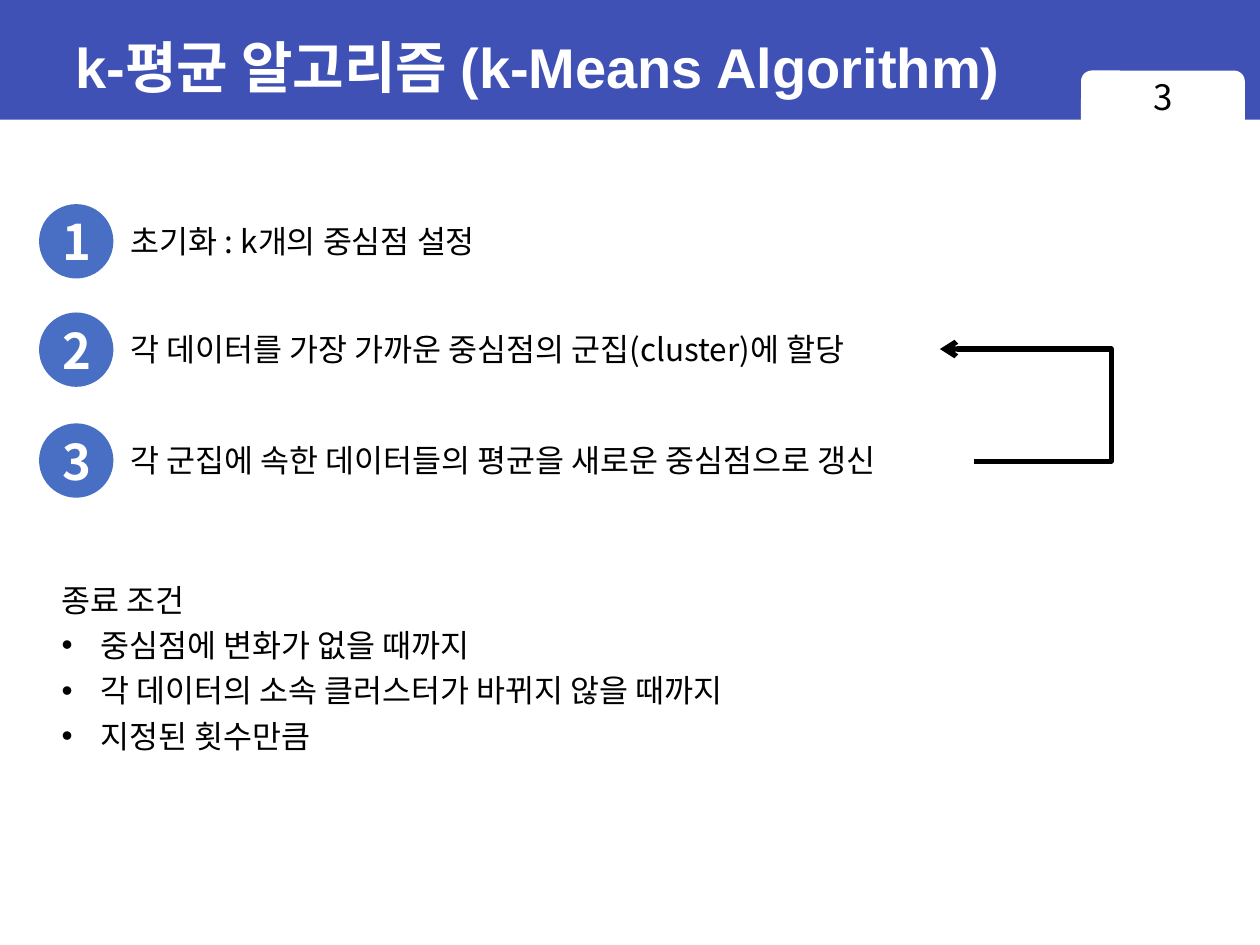
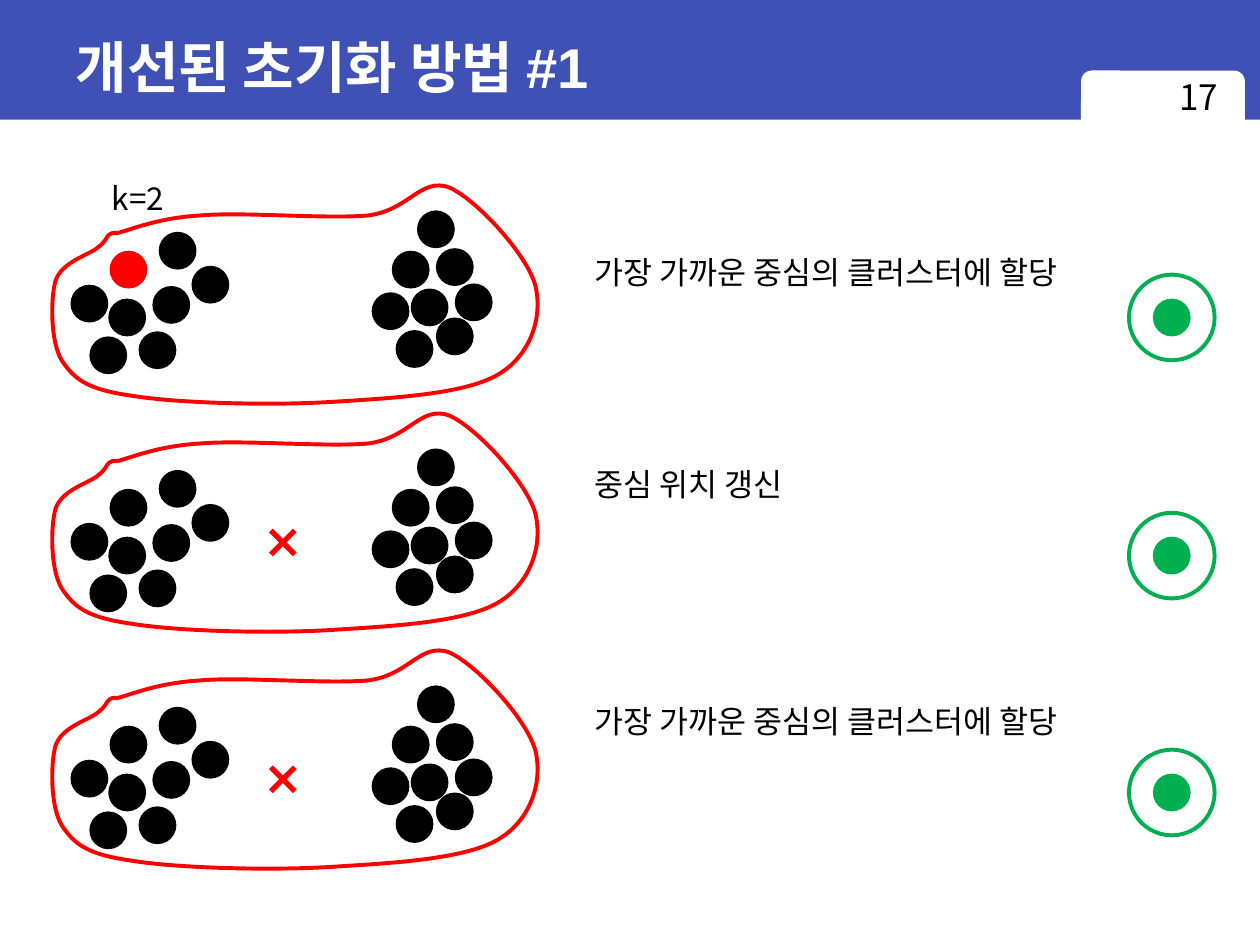
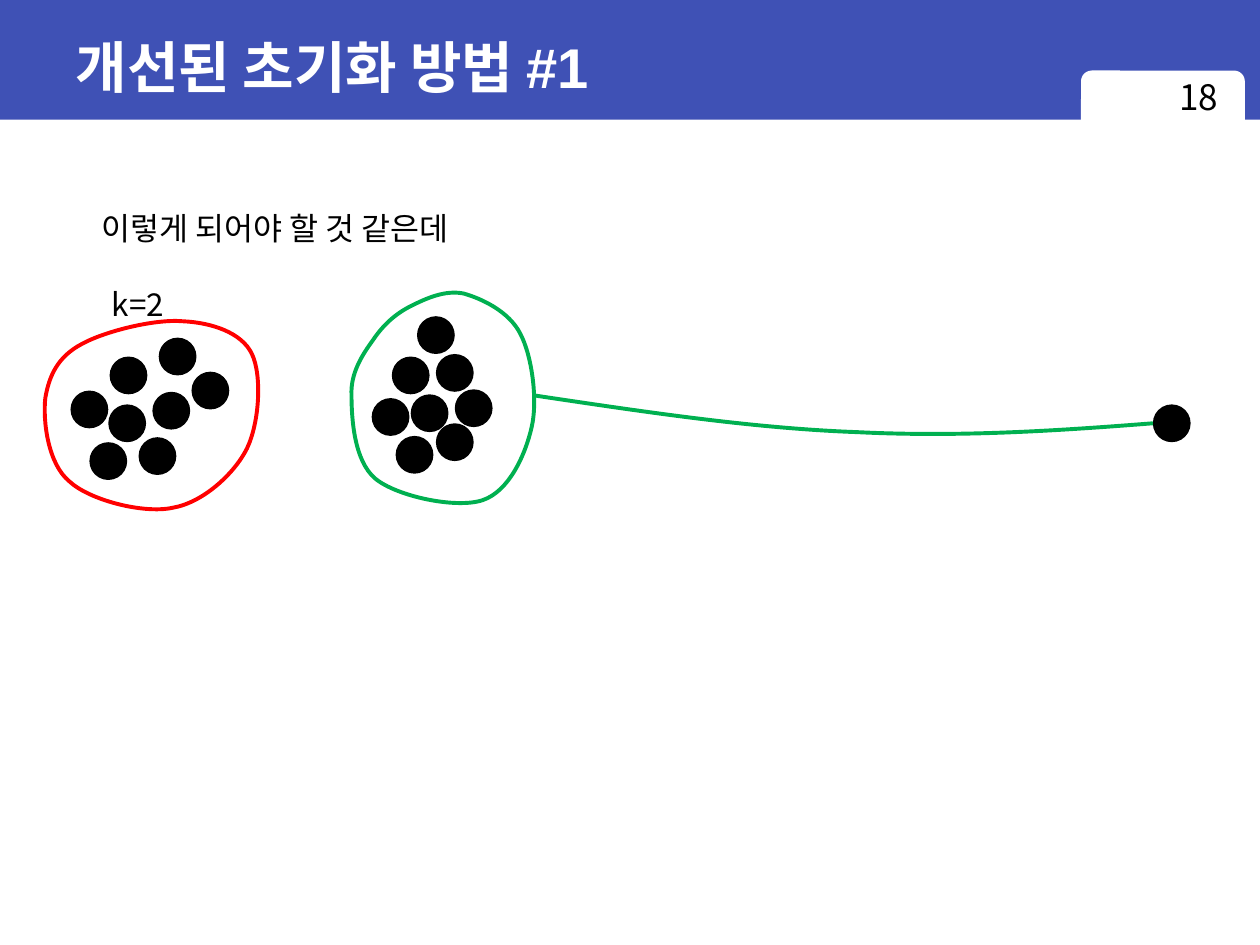
from lxml.etree import SubElement
from pptx import Presentation
from pptx.dml.color import RGBColor
from pptx.enum.shapes import MSO_CONNECTOR, MSO_SHAPE
from pptx.enum.text import MSO_ANCHOR, MSO_AUTO_SIZE, PP_ALIGN
from pptx.oxml.ns import qn
from pptx.util import Inches, Pt

COLORS = {
    "band": "3F51B5",
    "badge": "486FC3",
    "white": "FFFFFF",
    "black": "000000",
    "red": "FF0000",
    "green": "00B050",
}
BODY_FONT = "Noto Sans CJK KR"
TITLE_FONT = "Arial"
DOT_SIZE = 0.3
RING_SIZE = 0.68

# Dot positions: left, and top measured from the highest dot of the set.
LEFT_DOTS = [(0.87, 0.32), (1.26, 0.17), (0.86, 0.7), (1.21, 0.6),
             (1.52, 0.44), (1.1, 0.96), (0.71, 1), (0.56, 0.59)]
RIGHT_DOTS = [(3.11, 0.32), (3.46, 0.3), (3.26, 0.62), (3.46, 0.85),
              (2.95, 0.65), (3.31, 0), (3.61, 0.58), (3.14, 0.95)]
OUTLIER = (9.15, 0.7)

# Curves: a start point, then two control points and an end point per segment.
WIDE_CLUSTER = [
    (0.87, 1.86), (0.9, 1.84), (0.93, 1.85), (0.93, 1.85),
    (1.05, 1.82), (1.25, 1.73), (1.59, 1.71), (1.92, 1.68), (2.59, 1.74), (2.92, 1.71),
    (3.25, 1.67), (3.34, 1.4), (3.57, 1.49), (3.79, 1.59), (4.19, 2.03), (4.25, 2.27),
    (4.31, 2.52), (4.21, 2.83), (3.94, 2.98), (3.67, 3.13), (3.11, 3.16), (2.63, 3.19),
    (2.14, 3.22), (1.4, 3.2), (1.04, 3.14), (0.69, 3.09), (0.59, 3.01), (0.49, 2.86),
    (0.4, 2.71), (0.4, 2.38), (0.44, 2.23), (0.49, 2.08), (0.69, 2.03), (0.77, 1.97),
    (0.85, 1.91), (0.84, 1.88), (0.87, 1.86),
]
LEFT_CLUSTER = [
    (0.65, 2.73), (0.83, 2.63), (1.23, 2.53), (1.45, 2.55),
    (1.68, 2.56), (1.92, 2.64), (2, 2.81), (2.08, 2.98), (2.06, 3.35), (1.96, 3.56),
    (1.86, 3.76), (1.61, 3.99), (1.37, 4.03), (1.14, 4.08), (0.71, 3.97), (0.55, 3.82),
    (0.38, 3.68), (0.34, 3.34), (0.36, 3.16), (0.39, 2.98), (0.46, 2.83), (0.65, 2.73),
]
RIGHT_CLUSTER = [
    (3.26, 2.43), (3.14, 2.49), (3.04, 2.58), (2.96, 2.7),
    (2.88, 2.81), (2.78, 2.96), (2.79, 3.14), (2.79, 3.32), (2.81, 3.66), (2.98, 3.8),
    (3.15, 3.94), (3.62, 4.04), (3.83, 3.97), (4.04, 3.9), (4.17, 3.61), (4.22, 3.39),
    (4.27, 3.17), (4.22, 2.82), (4.13, 2.65), (4.04, 2.47), (3.82, 2.37), (3.68, 2.33),
    (3.53, 2.3), (3.38, 2.37), (3.26, 2.43),
]
OUTLIER_LINK = [(4.25, 3.14), (5.12, 3.27), (5.98, 3.4), (6.8, 3.43),
                (7.61, 3.47), (8.38, 3.42), (9.15, 3.36)]


def rgb(name):
    return RGBColor.from_string(COLORS[name])


class Deck:
    def __init__(self):
        self.presentation = Presentation()
        self.presentation.slide_width = Inches(10)
        self.presentation.slide_height = Inches(7.5)
        self.layout = self.presentation.slide_layouts[5]
        for placeholder in list(self.layout.placeholders)[1:]:
            placeholder.element.getparent().remove(placeholder.element)
        self.slide = None

    def add_slide(self, title, number, number_left):
        first = self.slide is None
        self.slide = self.presentation.slides.add_slide(self.layout)
        if first:
            self.move_band_to_layout()
        shape = self.slide.shapes.title
        shape.left, shape.top = Inches(0.5), Inches(0.11)
        shape.width, shape.height = Inches(9), Inches(0.83)
        frame = shape.text_frame
        frame.text = title
        frame.vertical_anchor = MSO_ANCHOR.MIDDLE
        frame.paragraphs[0].alignment = PP_ALIGN.LEFT
        self.style_font(frame.paragraphs[0], 32, "white", True, TITLE_FONT)
        self.page_number(number, number_left)

    def move_band_to_layout(self):
        """Draw the title band and number tab once, behind the layout's title."""
        band = self.shape(MSO_SHAPE.RECTANGLE, 0, 0, 10, 0.95, fill="band")
        tab = self.shape(MSO_SHAPE.ROUNDED_RECTANGLE, 8.58, 0.56, 1.3, 0.51, fill="white")
        for part in (band, tab):
            self.layout.placeholders[0].element.addprevious(part.element)

    def style_font(self, paragraph, size, color, bold=False, name=BODY_FONT):
        font = paragraph.font
        font.size, font.bold, font.name = Pt(size), bold, name
        font.color.rgb = rgb(color)
        properties = paragraph._p.pPr.find(qn("a:defRPr"))
        SubElement(properties, qn("a:ea"), typeface=BODY_FONT)

    def style_shape(self, shape, fill=None, line=None, width=2.25):
        shape.shadow.inherit = False
        if fill:
            shape.fill.solid()
            shape.fill.fore_color.rgb = rgb(fill)
        else:
            shape.fill.background()
        if line:
            shape.line.color.rgb = rgb(line)
            shape.line.width = Pt(width)
        else:
            shape.line.fill.background()

    def shape(self, kind, left, top, width, height, fill=None, line=None, parent=None):
        shapes = (parent or self.slide).shapes
        shape = shapes.add_shape(kind, Inches(left), Inches(top), Inches(width), Inches(height))
        self.style_shape(shape, fill, line)
        return shape

    def page_number(self, number, left):
        box = self.slide.shapes.add_textbox(Inches(left), Inches(0.55), Inches(1.31), Inches(0.52))
        box.text_frame.word_wrap = True
        paragraph = box.text_frame.paragraphs[0]
        paragraph.text = str(number)
        paragraph.alignment = PP_ALIGN.CENTER
        self.style_font(paragraph, 20, "black")

    def text(self, left, top, width, height, lines, spacing=1.2):
        """Add a text box; lines after the first are bulleted."""
        box = self.slide.shapes.add_textbox(Inches(left), Inches(top), Inches(width), Inches(height))
        frame = box.text_frame
        frame.word_wrap = False
        frame.auto_size = MSO_AUTO_SIZE.SHAPE_TO_FIT_TEXT
        for index, line in enumerate(lines):
            paragraph = frame.add_paragraph() if index else frame.paragraphs[0]
            paragraph.text = line
            if index:
                self.bullet(paragraph)
            paragraph.line_spacing = spacing
            self.style_font(paragraph, 18, "black")

    def bullet(self, paragraph):
        properties = paragraph._p.get_or_add_pPr()
        properties.set("marL", str(Inches(0.31)))
        properties.set("indent", str(-Inches(0.31)))
        SubElement(properties, qn("a:buFont"), typeface="Arial")
        SubElement(properties, qn("a:buChar"), char="•")

    def badge(self, number, top):
        circle = self.shape(MSO_SHAPE.OVAL, 0.31, top, 0.59, 0.59, fill="badge")
        circle.text_frame.vertical_anchor = MSO_ANCHOR.MIDDLE
        paragraph = circle.text_frame.paragraphs[0]
        paragraph.text = str(number)
        paragraph.alignment = PP_ALIGN.CENTER
        self.style_font(paragraph, 28, "white", True)

    def outline(self, points, color, width, close=False, shift=0):
        """Add an unfilled freeform through the points, moved down by shift."""
        start, *others = [(Inches(x), Inches(y + shift)) for x, y in points]
        builder = self.slide.shapes.build_freeform(*start)
        builder.add_line_segments(others, close=close)
        shape = builder.convert_to_shape()
        self.style_shape(shape, line=color, width=width)
        return shape

    def curve(self, points, color, close=True, shift=0):
        """Turn each three line segments of an outline into one Bézier segment."""
        shape = self.outline(points, color, 2.25, close, shift)
        segments = list(shape.element.iter(qn("a:lnTo")))
        for start in range(0, len(segments), 3):
            bezier = segments[start].makeelement(qn("a:cubicBezTo"))
            segments[start].addprevious(bezier)
            for segment in segments[start:start + 3]:
                bezier.append(segment[0])
                segment.getparent().remove(segment)

    def arrow(self, points):
        shape = self.outline(points, "black", 3)
        SubElement(shape.line._get_or_add_ln(), qn("a:tailEnd"), type="arrow")

    def dots(self, top, outlier_color, first_color="black"):
        group = self.slide.shapes.add_group_shape()
        positions = LEFT_DOTS + RIGHT_DOTS + [OUTLIER]
        colors = [first_color] + ["black"] * (len(positions) - 2) + [outlier_color]
        for (left, offset), color in zip(positions, colors):
            self.shape(MSO_SHAPE.OVAL, left, top + offset, DOT_SIZE, DOT_SIZE,
                       fill=color, parent=group)

    def outlier_ring(self, top):
        margin = (RING_SIZE - DOT_SIZE) / 2
        left, offset = OUTLIER
        self.shape(MSO_SHAPE.OVAL, left - margin, top + offset - margin,
                   RING_SIZE, RING_SIZE, line="green")

    def cross(self, top):
        left, right, bottom = 2.15, 2.34, top + 0.19
        for start, end in ((right, left), (left, right)):
            line = self.slide.shapes.add_connector(
                MSO_CONNECTOR.STRAIGHT, Inches(start), Inches(top), Inches(end), Inches(bottom))
            line.line.color.rgb = rgb("red")
            line.line.width = Pt(3)
            SubElement(line.element.spPr, qn("a:effectLst"))


def add_algorithm_slide(deck):
    deck.add_slide("k-평균 알고리즘 (k-Means Algorithm)", 3, 8.58)
    steps = [
        (1.62, 3.27, "초기화 : k개의 중심점 설정"),
        (2.48, 6.43, "각 데이터를 가장 가까운 중심점의 군집(cluster)에 할당"),
        (3.36, 6.89, "각 군집에 속한 데이터들의 평균을 새로운 중심점으로 갱신"),
    ]
    for number, (top, width, label) in enumerate(steps, 1):
        deck.text(0.94, top + 0.09, width, 0.4, [label], spacing=1.0)
        deck.badge(number, top)
    deck.arrow([(7.73, 3.66), (8.82, 3.66), (8.82, 2.77), (7.46, 2.77)])
    deck.text(0.39, 4.5, 6.1, 1.56, [
        "종료 조건",
        "중심점에 변화가 없을 때까지",
        "각 데이터의 소속 클러스터가 바뀌지 않을 때까지",
        "지정된 횟수만큼",
    ])


def add_iterations_slide(deck):
    deck.add_slide("개선된 초기화 방법 #1", 17, 8.86)
    deck.text(0.79, 1.31, 0.65, 0.46, ["k=2"])
    assign, update = ("가장 가까운 중심의 클러스터에 할당", 4.35), ("중심 위치 갱신", 1.9)
    iterations = [
        (1.67, 1.9, 0, assign, "red"),
        (3.56, 3.58, 1.81, update, "black"),
        (5.44, 5.46, 3.69, assign, "black"),
    ]
    for dots_top, label_top, shift, (label, width), first_color in iterations:
        deck.text(4.62, label_top, width, 0.46, [label])
        deck.dots(dots_top, "green", first_color)
        deck.curve(WIDE_CLUSTER, "red", shift=shift)
        deck.outlier_ring(dots_top)
        if shift:
            deck.cross(dots_top + 0.65)


def add_expected_slide(deck):
    deck.add_slide("개선된 초기화 방법 #1", 18, 8.86)
    deck.text(0.79, 2.15, 0.65, 0.46, ["k=2"])
    deck.dots(2.51, "black")
    deck.curve(LEFT_CLUSTER, "red")
    deck.text(0.71, 1.55, 3.34, 0.46, ["이렇게 되어야 할 것 같은데"])
    deck.curve(RIGHT_CLUSTER, "green")
    deck.curve(OUTLIER_LINK, "green", close=False)


def main():
    deck = Deck()
    add_algorithm_slide(deck)
    add_iterations_slide(deck)
    add_expected_slide(deck)
    deck.presentation.save("out.pptx")


if __name__ == "__main__":
    main()
